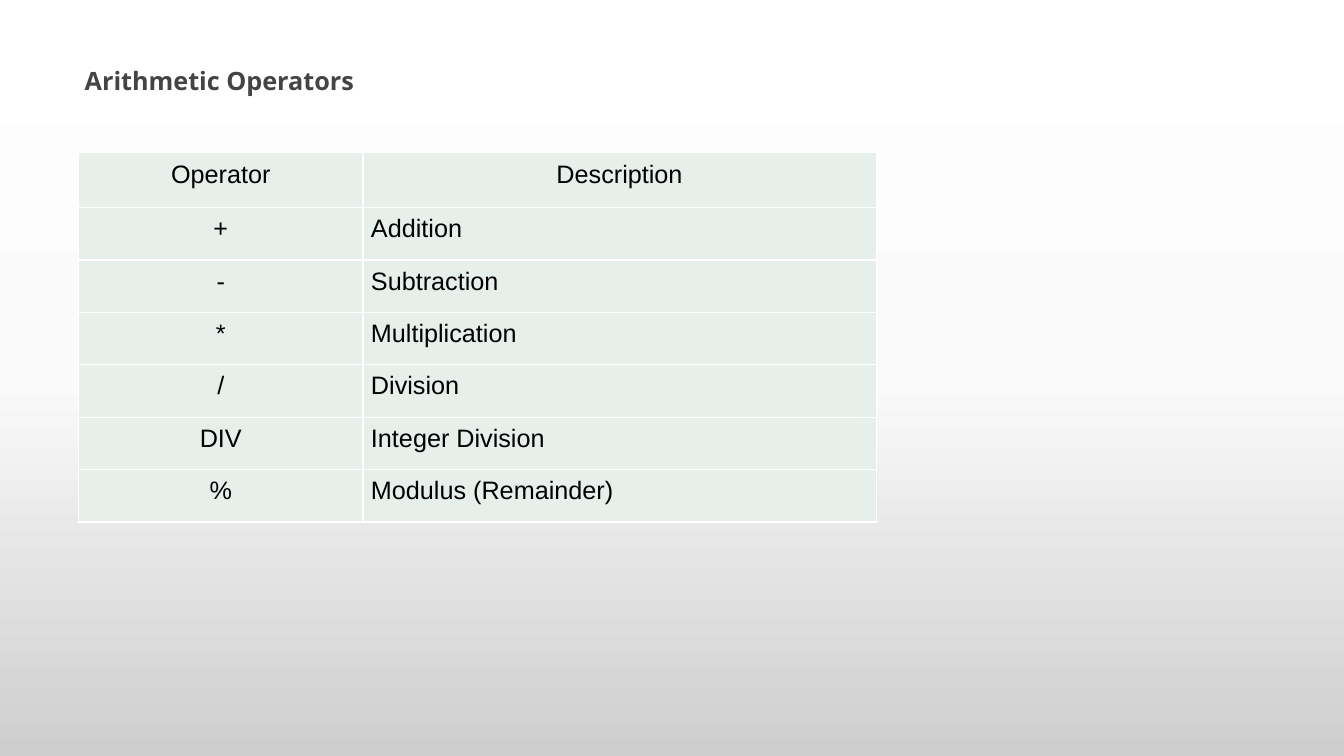
"""Build a slide with a table of arithmetic operators."""
import copy

import pptx
import pptx.dml.color
import pptx.enum.text
import pptx.oxml
import pptx.oxml.ns
import pptx.util

TITLE = "Arithmetic Operators"
ROWS = [
    ("Operator", "Description"),
    ("+", "Addition"),
    ("-", "Subtraction"),
    ("*", "Multiplication"),
    ("/", "Division"),
    ("DIV", "Integer Division"),
    ("%", "Modulus (Remainder)"),
]
WIDTHS = (2.82, 5.09)
HEAD, BODY = 0.55, 0.52
COLORS = {"title": "444444", "text": "000000", "cell": "E7EFEB", "line": "FFFFFF"}
SHADES = [(0, "FFFFFF"), (0.5, "FAFAFA"), (1, "CECECE")]

Inches = pptx.util.Inches
Align = pptx.enum.text.PP_ALIGN
Anchor = pptx.enum.text.MSO_ANCHOR


def rgb(code):
    return pptx.dml.color.RGBColor.from_string(code)


def style(par, face, color, space, align):
    par.font.name, par.font.size = face, pptx.util.Pt(18)
    par.font.color.rgb = rgb(color)
    par.line_spacing, par.alignment = space, align


def shade(slide):
    fill = slide.background.fill
    fill.gradient()
    fill.gradient_angle = 270
    last = slide.element.xpath(".//p:bg//a:gs")[-1]
    last.addnext(copy.deepcopy(last))
    for stop, (place, color) in zip(fill.gradient_stops, SHADES):
        stop.position, stop.color.rgb = place, rgb(color)


def border(cell):
    props = cell._tc.get_or_add_tcPr()
    for side in "LRTB":
        props.append(pptx.oxml.parse_xml(
            f'<a:ln{side} {pptx.oxml.ns.nsdecls("a")} w="12700"><a:solidFill>'
            f'<a:srgbClr val="{COLORS["line"]}"/></a:solidFill></a:ln{side}>'))


def add_title(slide):
    title = slide.shapes.title
    title.left, title.top = Inches(0.74), Inches(0.54)
    title.width, title.height = Inches(3.2), Inches(0.43)
    frame = title.text_frame
    frame.text = TITLE
    frame.word_wrap = True
    frame.auto_size = pptx.enum.text.MSO_AUTO_SIZE.SHAPE_TO_FIT_TEXT
    frame.vertical_anchor = Anchor.TOP
    frame.margin_left = frame.margin_right = Inches(0.1)
    frame.margin_top = frame.margin_bottom = Inches(0.05)
    par = frame.paragraphs[0]
    style(par, "Open Sans", COLORS["title"], 1.2, Align.LEFT)
    par.font.bold = True


def add_grid(slide):
    high = HEAD + BODY * (len(ROWS) - 1)
    table = slide.shapes.add_table(
        len(ROWS), len(WIDTHS), Inches(0.78), Inches(1.51),
        Inches(sum(WIDTHS)), Inches(high)).table
    table.first_row = table.horz_banding = False
    for col, width in zip(table.columns, WIDTHS):
        col.width = Inches(width)
    for r, row in enumerate(ROWS):
        table.rows[r].height = Inches(BODY if r else HEAD)
        for c, text in enumerate(row):
            cell = table.cell(r, c)
            cell.text = text
            cell.margin_left = cell.margin_right = Inches(0.08 if r else 0.11)
            cell.margin_top = cell.margin_bottom = Inches(0.03 if r else 0.04)
            cell.vertical_anchor = Anchor.TOP
            border(cell)
            cell.fill.solid()
            cell.fill.fore_color.rgb = rgb(COLORS["cell"])
            align = Align.LEFT if r and c else Align.CENTER
            style(cell.text_frame.paragraphs[0], "Arial", COLORS["text"], 1.15, align)


def main():
    deck = pptx.Presentation()
    deck.slide_width, deck.slide_height = Inches(13.33), Inches(7.5)
    slide = deck.slides.add_slide(deck.slide_layouts[5])
    shade(slide)
    add_title(slide)
    add_grid(slide)
    deck.save("out.pptx")


if __name__ == "__main__":
    main()
